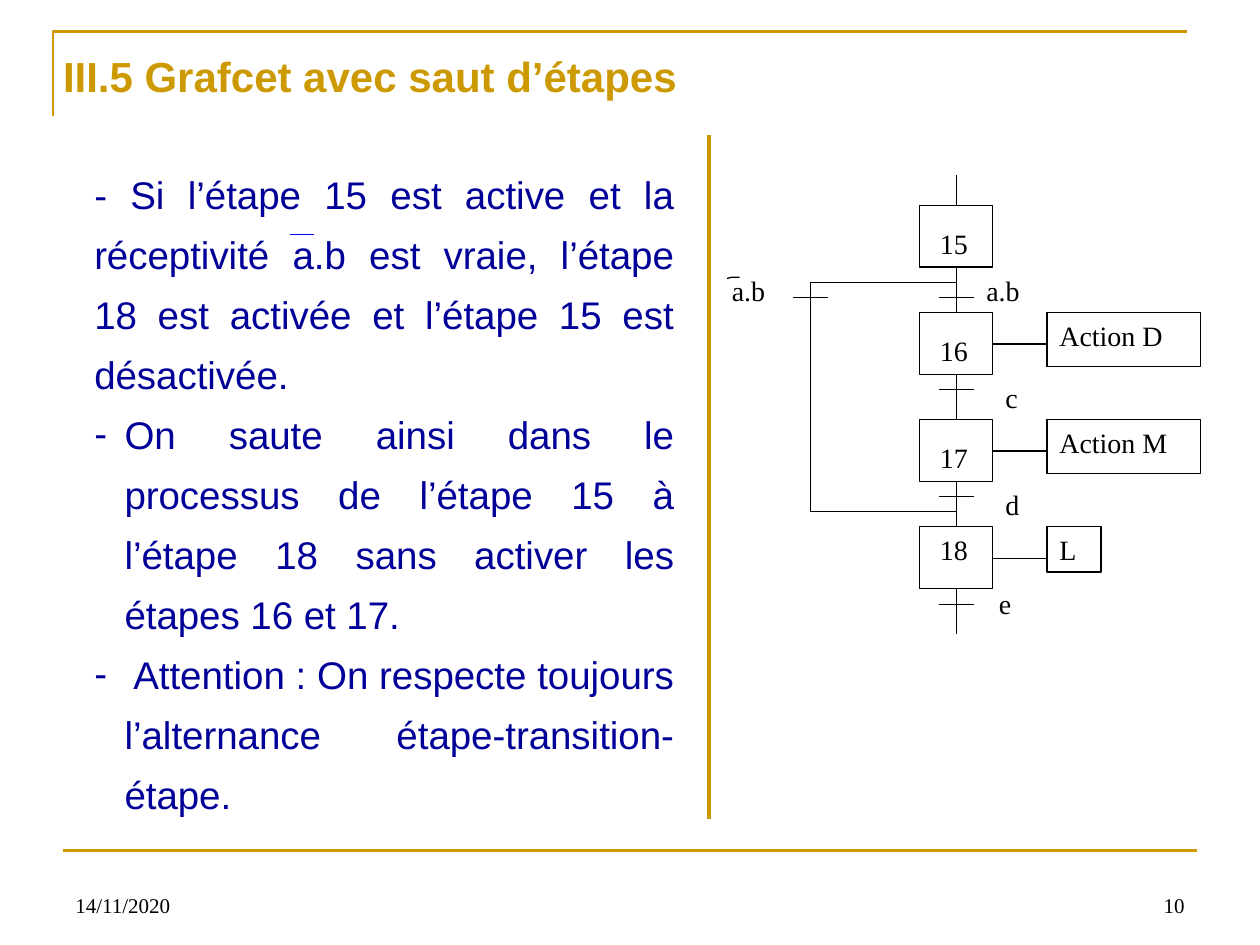
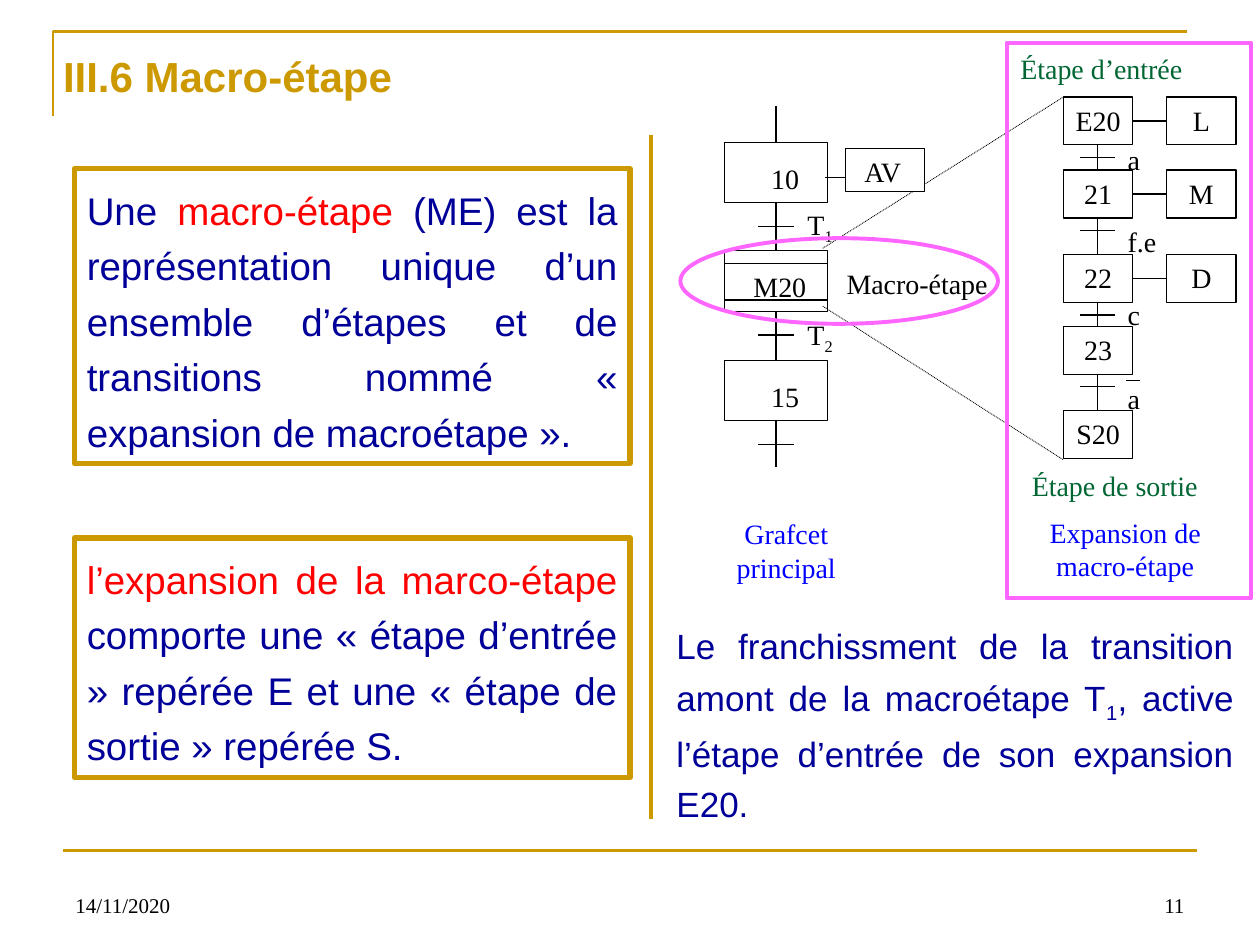
from lxml import etree
from pptx import Presentation
from pptx.dml.color import RGBColor
from pptx.enum.dml import MSO_LINE_DASH_STYLE as Dash
from pptx.enum.shapes import MSO_CONNECTOR as Connector, MSO_SHAPE as Shape
from pptx.enum.text import MSO_ANCHOR as Anchor, MSO_AUTO_SIZE as AutoSize, PP_ALIGN as Align
from pptx.oxml.ns import qn
from pptx.util import Inches, Pt

COLORS = {
    "gold": "CC9900", "navy": "000099", "blue": "0000FF", "red": "FF0000",
    "green": "006633", "pink": "FF66FF", "black": "000000", "white": "FFFFFF",
}
SANS, SERIF = "Arial", "Times New Roman"
TITLE_ONLY = 5


def rgb(name):
    return RGBColor.from_string(COLORS[name])


class GrafcetDeck:
    def __init__(self):
        self.presentation = Presentation()
        self.presentation.slide_width = Inches(10)
        self.presentation.slide_height = Inches(7.5)
        self.slide = None

    def new_slide(self, title, title_width, number, divider_x):
        """Start a slide with its title, gold frame, divider and footer."""
        layout = self.presentation.slide_layouts[TITLE_ONLY]
        self.slide = self.presentation.slides.add_slide(layout)
        self.outline([(0.42, 0.92), (0.42, 0.25), (9.42, 0.25)], "gold", 1.5)
        self.line(0.5, 6.75, 9.5, 6.75, "gold", 1.5)
        self.line(divider_x, 1.07, divider_x, 6.5, "gold", 2.25)
        placeholder = self.slide.shapes.title
        placeholder.left, placeholder.top = Inches(0.4), Inches(0.35)
        placeholder.width, placeholder.height = Inches(title_width), Inches(0.5)
        self.set_text(placeholder, title, 24, SANS, "gold", bold=True)
        self.label(0.5, 6.83, 2.33, 0.5, "14/11/2020", size=12, anchor=Anchor.BOTTOM)
        self.label(7.17, 6.83, 2.33, 0.5, number, size=12, align=Align.RIGHT,
                   anchor=Anchor.BOTTOM)

    def set_text(self, shape, content, size=16, font=SERIF, color="black", align=Align.LEFT,
                 anchor=Anchor.TOP, spacing=1.0, inset=(0.1, 0.05), bold=False):
        """Fill a shape with a string, or with paragraphs of (text, color, baseline) runs."""
        frame = shape.text_frame
        frame.auto_size = AutoSize.NONE
        frame.word_wrap = True
        frame.vertical_anchor = anchor
        frame.margin_left, frame.margin_top = Inches(inset[0]), Inches(inset[1])
        frame.margin_right = Inches(0 if inset[0] > 0.1 else inset[0])
        frame.margin_bottom = Inches(0.05)
        paragraphs = [[(content, color, 0)]] if isinstance(content, str) else content
        for index, pieces in enumerate(paragraphs):
            paragraph = frame.add_paragraph() if index else frame.paragraphs[0]
            paragraph.alignment = align
            paragraph.line_spacing = spacing
            for text, run_color, baseline in pieces:
                run = paragraph.add_run()
                run.text = text
                run.font.size, run.font.name, run.font.bold = Pt(size), font, bold
                run.font.color.rgb = rgb(run_color)
                if baseline:
                    run.font._element.set("baseline", str(baseline * 1000))

    def label(self, left, top, width, height, content, **style):
        shape = self.slide.shapes.add_textbox(
            Inches(left), Inches(top), Inches(width), Inches(height))
        self.set_text(shape, content, **style)
        return shape

    def box(self, left, top, width, height, content=None, kind=Shape.RECTANGLE,
            fill="white", border="black", weight=0.75, **style):
        shape = self.slide.shapes.add_shape(
            kind, Inches(left), Inches(top), Inches(width), Inches(height))
        shape.shadow.inherit = False
        if fill:
            shape.fill.solid()
            shape.fill.fore_color.rgb = rgb(fill)
        else:
            shape.fill.background()
        shape.line.color.rgb = rgb(border)
        shape.line.width = Pt(weight)
        if content:
            self.set_text(shape, content, **style)

    def line(self, x1, y1, x2, y2, color="black", weight=0.75, dash=None):
        connector = self.slide.shapes.add_connector(
            Connector.STRAIGHT, Inches(x1), Inches(y1), Inches(x2), Inches(y2))
        connector.line.color.rgb = rgb(color)
        connector.line.width = Pt(weight)
        if dash:
            connector.line.dash_style = dash
        etree.SubElement(connector._element.spPr, qn("a:effectLst"))

    def outline(self, points, color="black", weight=0.75):
        corners = [(Inches(x), Inches(y)) for x, y in points]
        builder = self.slide.shapes.build_freeform(*corners[0])
        builder.add_line_segments(corners[1:], close=False)
        shape = builder.convert_to_shape()
        shape.shadow.inherit = False
        shape.fill.background()
        shape.line.color.rgb = rgb(color)
        shape.line.width = Pt(weight)

    def bar(self, x, y):
        self.line(x - 0.14, y, x + 0.14, y)

    def transition(self, x, top, bottom, bar_y):
        self.line(x, top, x, bottom)
        self.bar(x, bar_y)

    def dash_bullet(self, paragraph, indent):
        properties = paragraph._p.get_or_add_pPr()
        properties.set("marL", str(Inches(indent)))
        properties.set("indent", str(-Inches(indent)))
        etree.SubElement(properties, qn("a:buFont"), typeface=SANS)
        etree.SubElement(properties, qn("a:buChar"), char="-")


def build_step_skip(deck):
    deck.new_slide("III.5 Grafcet avec saut d’étapes", 5.86, "10", 5.63)
    axis, step_left, action_left, branch = 7.59, 7.3, 8.31, 6.43
    step_width, step_height, pitch = 0.58, 0.49, 0.85

    deck.line(axis, 1.39, axis, 1.63)
    # step, top inset, transition bar, action with its width and height
    steps = [
        ("15", 0.17, 2.36, None),
        ("16", 0.17, 3.09, ("Action D", 1.22, 0.43)),
        ("17", 0.17, 3.94, ("Action M", 1.22, 0.43)),
        ("18", 0.05, 4.8, ("L", 0.43, 0.36)),
    ]
    for index, (name, inset, bar_y, action) in enumerate(steps):
        top = 1.63 + index * pitch
        deck.transition(axis, top + step_height, top + pitch, bar_y)
        deck.box(step_left, top, step_width, step_height, name, inset=(0.16, inset))
        if action:
            text, width, height = action
            deck.line(step_left + step_width, top + 0.25, action_left, top + 0.25)
            deck.box(action_left, top, width, height, text)

    deck.line(axis, 2.24, branch, 2.24)
    deck.line(branch, 2.24, branch, 4.06)
    deck.line(branch, 4.06, axis, 4.06)
    deck.bar(branch, 2.36)
    for left, top, text in [(5.71, 2.12, "a.b"), (7.73, 2.12, "a.b"), (7.88, 2.97, "c"),
                            (7.88, 3.82, "d"), (7.83, 4.61, "e")]:
        deck.label(left, top, 0.72, 0.37, text)
    deck.outline([(5.77, 2.21), (5.81, 2.2), (5.87, 2.2)])

    rules = [
        "- Si l’étape 15 est active et la réceptivité a.b est vraie, l’étape 18 est activée "
        "et l’étape 15 est désactivée.",
        "On saute ainsi dans le processus de l’étape 15 à l’étape 18 sans activer les "
        "étapes 16 et 17.",
        " Attention : On respecte toujours l’alternance étape-transition-étape.",
    ]
    explanation = deck.label(0.65, 1.2, 4.8, 5.33, [[(rule, "navy", 0)] for rule in rules],
                             size=22, font=SANS, align=Align.JUSTIFY, anchor=Anchor.MIDDLE,
                             spacing=1.3)
    for paragraph in explanation.text_frame.paragraphs[1:]:
        deck.dash_bullet(paragraph, 0.24)
    deck.line(2.3, 1.86, 2.49, 1.86, "blue")


def draw_main_grafcet(deck):
    axis, left, width, height = 6.16, 5.75, 0.82, 0.48
    deck.line(axis, 0.84, axis, 1.13)
    for name, top, bottom, inset in [("10", 1.13, 1.99, 0.37), ("M20", 1.99, 2.86, 0.23),
                                     ("15", 2.86, 3.71, 0.37)]:
        deck.transition(axis, top + height, bottom, top + 0.67)
        deck.box(left, top, width, height, name, inset=(inset, 0.15))
    for y in (2.09, 2.38):
        deck.line(left, y, left + width, y)
    for number, top in [("1", 1.6), ("2", 2.47)]:
        deck.label(6.31, top, 0.52, 0.33, [[("T", "black", 0), (number, "black", -25)]])
    for y, corner_y in [(1.97, 0.77), (2.43, 3.65)]:
        deck.line(6.53, y, 8.44, corner_y, weight=0.5, dash=Dash.ROUND_DOT)
    deck.line(6.55, 1.41, 6.71, 1.41)
    deck.box(6.71, 1.18, 0.63, 0.34, "AV", inset=(0.15, 0.05))
    deck.label(6.62, 2.07, 1.45, 0.27, "Macro-étape")
    deck.label(5.49, 4.05, 1.5, 0.58, "Grafcet principal", color="blue", align=Align.CENTER)
    deck.box(5.4, 1.89, 2.52, 0.68, kind=Shape.OVAL, fill=None, border="pink", weight=2.25)


def draw_expansion(deck):
    axis, left, action_left, width, height = 8.71, 8.44, 9.26, 0.55, 0.38
    # step, top, action, receptivity and its top
    steps = [
        ("E20", 0.77, "L", "a", 1.08),
        ("21", 1.35, "M", "f.e", 1.73),
        ("22", 2.02, "D", "c", 2.31),
        ("23", 2.59, None, "a", 2.98),
        ("S20", 3.26, None, None, None),
    ]
    next_tops = [step[1] for step in steps[1:]] + [None]
    for (name, top, action, receptivity, label_top), next_top in zip(steps, next_tops):
        if receptivity:
            deck.transition(axis, top + height, next_top, top + 0.48)
            deck.label(8.85, label_top, 0.49, 0.3, receptivity)
        deck.box(left, top, width, height, name, align=Align.CENTER, inset=(0.08, 0.05))
        if action:
            deck.line(left + width, top + 0.19, action_left, top + 0.19)
            deck.box(action_left, top, width, height, action, align=Align.CENTER)
    deck.line(8.94, 3.02, 9.05, 3.02)
    deck.label(8, 0.36, 1.57, 0.29, "Étape d’entrée", color="green")
    deck.label(8.09, 3.67, 1.68, 0.29, "Étape de sortie", color="green")
    deck.label(8.22, 4.04, 1.42, 0.55, "Expansion de macro-étape", color="blue",
               align=Align.CENTER)
    deck.box(7.99, 0.34, 1.94, 4.41, fill=None, border="pink", weight=2.25)


def build_macro_step(deck):
    deck.new_slide("III.6 Macro-étape", 3.66, "11", 5.17)
    draw_main_grafcet(deck)
    draw_expansion(deck)

    body = dict(font=SANS, align=Align.JUSTIFY, anchor=Anchor.MIDDLE, spacing=1.2)
    definition = [
        ("Une ", "navy", 0), ("macro-étape", "red", 0),
        (" (ME) est la représentation unique d’un ensemble d’étapes et de transitions "
         "nommé « expansion de macroétape ».", "navy", 0),
    ]
    expansion = [
        ("l’expansion de la marco-étape", "red", 0),
        (" comporte une « étape d’entrée » repérée E et une « étape de sortie » "
         "repérée S.", "navy", 0),
    ]
    for top, height, pieces in [(1.34, 2.34, definition), (4.27, 1.9, expansion)]:
        deck.box(0.59, top, 4.41, height, [pieces], fill=None, border="gold", weight=3,
                 size=22, **body)
    crossing = [
        ("Le franchissment de la transition amont de la macroétape T", "navy", 0),
        ("1", "navy", -25),
        (", active l’étape d’entrée de son expansion E20.", "navy", 0),
    ]
    deck.label(5.27, 4.87, 4.62, 1.7, [crossing], size=20, **body)


def main():
    deck = GrafcetDeck()
    build_step_skip(deck)
    build_macro_step(deck)
    deck.presentation.save("out.pptx")


if __name__ == "__main__":
    main()
